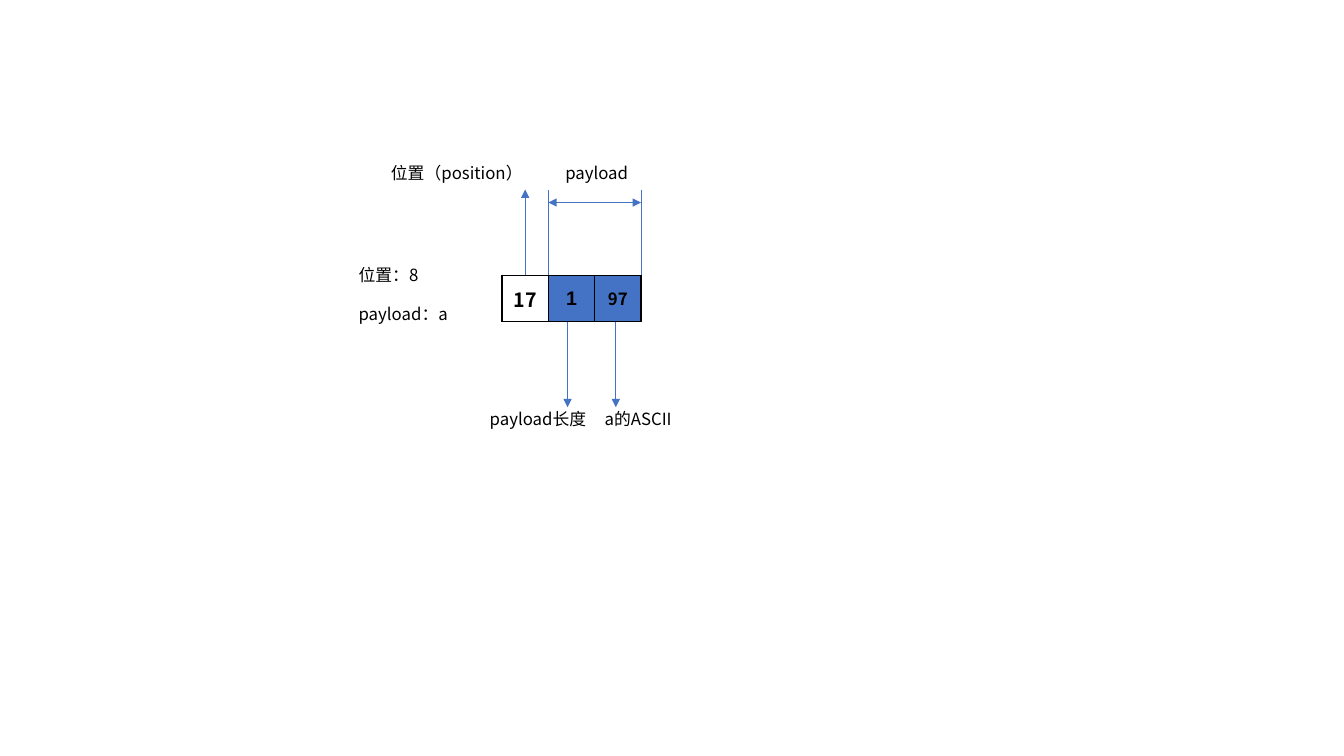
from lxml import etree
from pptx import Presentation
from pptx.dml.color import RGBColor
from pptx.enum.shapes import MSO_CONNECTOR
from pptx.enum.text import MSO_ANCHOR, MSO_AUTO_SIZE, PP_ALIGN
from pptx.oxml.ns import qn
from pptx.util import Pt

STRAIGHT = MSO_CONNECTOR.STRAIGHT
MIDDLE = MSO_ANCHOR.MIDDLE
GROW = MSO_AUTO_SIZE.SHAPE_TO_FIT_TEXT
CENTER = PP_ALIGN.CENTER

THEME = {
    "black": "000000", "white": "FFFFFF", "blue": "4472C4",
    "font": "Noto Sans CJK SC", "digit_font": "Arial",
    "label": 12, "cell": 14, "line": 0.5, "border": 1,
}

# Content: bytes are (text, fill, font, size); labels are (text, left, top, width)
BYTES = [
    ("17", "white", "font", "cell"),
    ("1", "blue", "digit_font", "cell"),
    ("97", "blue", "font", "label"),
]
TOP_LABELS, BOTTOM_LABELS = 113, 288.7
LABELS = [
    ("位置：8", 249.1, 185.8, 58.3),
    ("位置（position）", 272.2, TOP_LABELS, 113),
    ("payload：a", 249.1, 213.1, 79.2),
    ("payload", 396.7, TOP_LABELS, 76.3),
    ("payload长度", 342.7, BOTTOM_LABELS, 85),
    ("a的ASCII", 424.8, BOTTOM_LABELS, 64.1),
]
LABEL_HEIGHT = 21.6

# Byte row geometry
LEFT, TOP, CELL = 358.6, 196.6, 33.1
BOTTOM = TOP + CELL
ARM = 61.2
PAYLOAD_LEFT, PAYLOAD_RIGHT = LEFT + CELL, LEFT + 3 * CELL
SPAN_Y = 144.7

# Lines: (x1, y1, x2, y2, arrowhead at start, arrowhead at end)
LINES = [
    (LEFT + CELL / 2, TOP - ARM, LEFT + CELL / 2, TOP, True, False),
    (PAYLOAD_LEFT, TOP - ARM, PAYLOAD_LEFT, TOP, False, False),
    (PAYLOAD_RIGHT, TOP - ARM, PAYLOAD_RIGHT, TOP, False, False),
    (PAYLOAD_LEFT, SPAN_Y, PAYLOAD_RIGHT, SPAN_Y, True, True),
    (405.4, BOTTOM, 405.4, BOTTOM + ARM, False, True),
    (439.9, BOTTOM, 439.9, BOTTOM + ARM, False, True),
]


def color(name):
    return RGBColor.from_string(THEME[name])


def write(tf, text, font, size, bold=False):
    p = tf.paragraphs[0]
    r = p.add_run()
    r.text = text
    fmt = {"name": THEME[font], "size": Pt(THEME[size]), "bold": bold}
    for key, value in fmt.items():
        setattr(r.font, key, value)
    r.font.color.rgb = color("black")
    east_asian = etree.SubElement(r.font._element, qn("a:ea"))
    east_asian.set("typeface", THEME["font"])
    return p


def add_borders(cell):
    props = cell._tc.get_or_add_tcPr()
    for i, side in enumerate(("lnL", "lnR", "lnT", "lnB")):
        ln = etree.Element(qn(f"a:{side}"), w=str(Pt(THEME["border"])))
        fill = etree.SubElement(ln, qn("a:solidFill"))
        etree.SubElement(fill, qn("a:srgbClr"), val=THEME["black"])
        props.insert(i, ln)


def add_byte_row(s):
    frame = s.shapes.add_table(1, len(BYTES), Pt(LEFT), Pt(TOP),
                               Pt(CELL * len(BYTES)), Pt(CELL))
    table = frame.table
    table.first_row = table.horz_banding = False
    for i, (text, fill, font, size) in enumerate(BYTES):
        table.columns[i].width = Pt(CELL)
        cell = table.cell(0, i)
        cell.vertical_anchor = MIDDLE
        cell.fill.solid()
        cell.fill.fore_color.rgb = color(fill)
        add_borders(cell)
        write(cell.text_frame, text, font, size, bold=True).alignment = CENTER


def add_line(s, x1, y1, x2, y2, head, tail):
    line = s.shapes.add_connector(STRAIGHT, Pt(x1), Pt(y1), Pt(x2), Pt(y2))
    line.line.color.rgb = color("blue")
    line.line.width = Pt(THEME["line"])
    for tag, wanted in (("a:headEnd", head), ("a:tailEnd", tail)):
        if wanted:
            etree.SubElement(line.line._get_or_add_ln(), qn(tag), type="triangle")
    etree.SubElement(line._element.spPr, qn("a:effectLst"))


def add_label(s, text, left, top, width):
    sp = s.shapes.add_textbox(Pt(left), Pt(top), Pt(width), Pt(LABEL_HEIGHT))
    tf = sp.text_frame
    tf.word_wrap = True
    tf.auto_size = GROW
    write(tf, text, "font", "label")


def main():
    prs = Presentation()
    prs.slide_width, prs.slide_height = Pt(960), Pt(540)
    s = prs.slides.add_slide(prs.slide_layouts[6])

    # Encoded bytes
    add_byte_row(s)

    # Guides and arrows
    for line in LINES:
        add_line(s, *line)

    # Explanations
    for label in LABELS:
        add_label(s, *label)

    prs.save("out.pptx")


if __name__ == "__main__":
    main()
